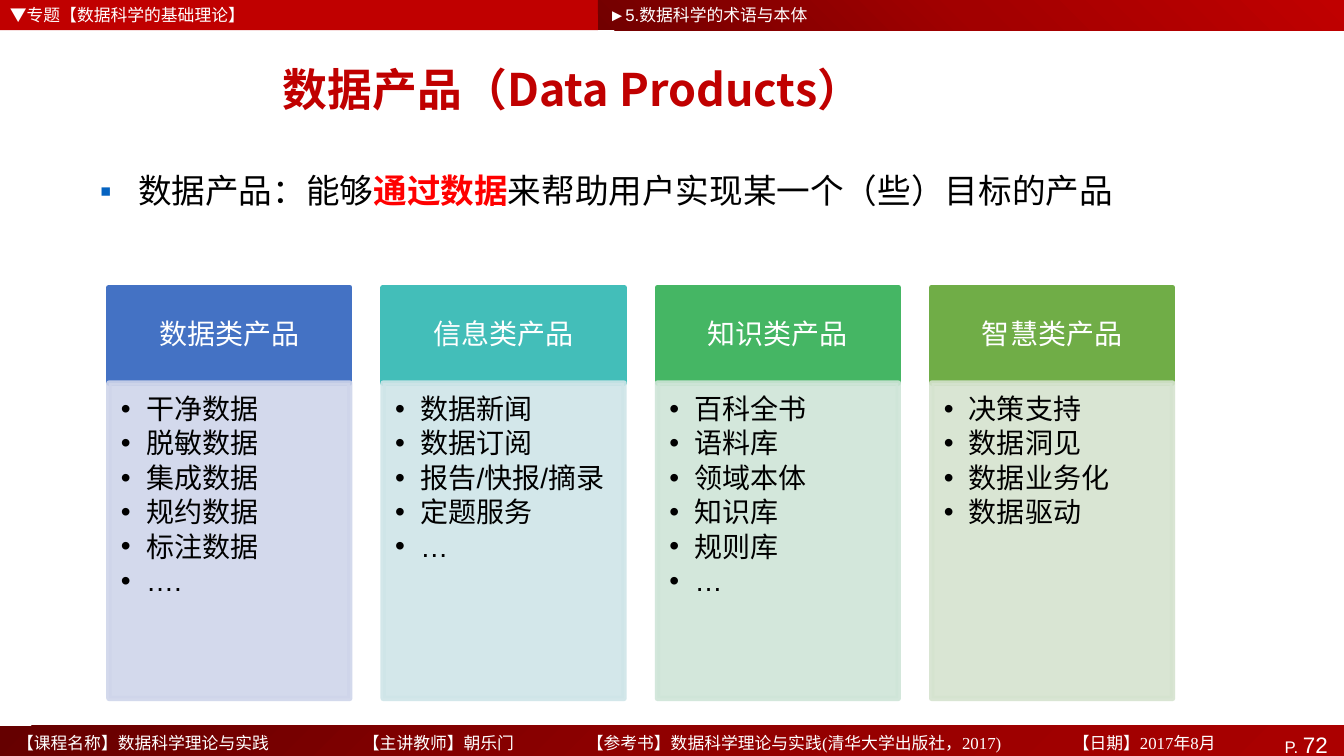
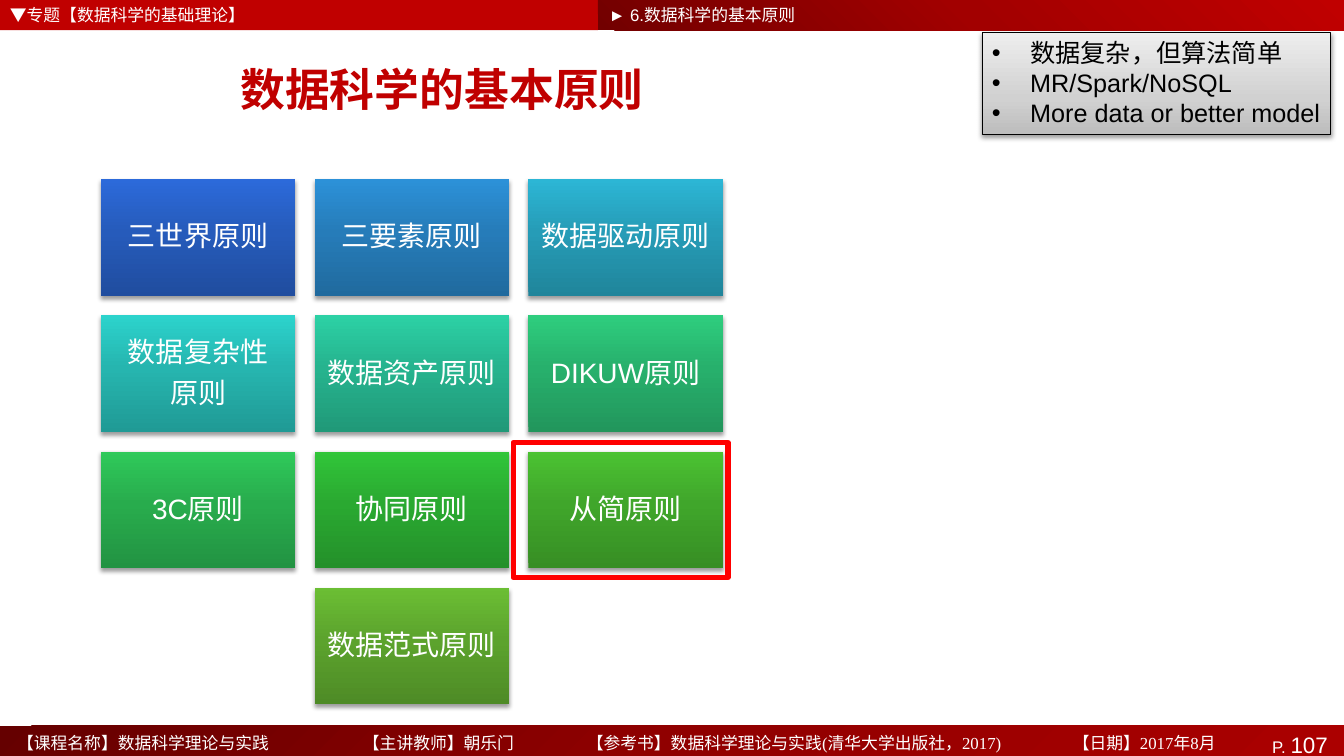
import copy

import lxml.etree
import pptx
import pptx.dml.color
import pptx.enum.shapes
import pptx.enum.text
import pptx.oxml.ns
import pptx.util

Inches = pptx.util.Inches
Pt = pptx.util.Pt
Align = pptx.enum.text.PP_ALIGN
Anchor = pptx.enum.text.MSO_ANCHOR
qn = pptx.oxml.ns.qn

WIDE, HIGH, BAR = 13.33, 7.5, 0.3
SPLIT = 5.93
COLORS = {
    "red": "C00000", "alert": "FF0000", "white": "FFFFFF",
    "black": "000000", "bullet": "0563C1",
}
TOP_FADE = ["720000", "A20000", "C00000"]
FOOT_FADE = ["650000", "900000", "AB0000"]
NOTE_FADE = ["BDBDBD", "D1D1D1", "EEEEEE"]
TOPIC = "▼专题【数据科学的基础理论】"
FOOTER = [
    (0.17, "【课程名称】数据科学理论与实践"),
    (3.6, "【主讲教师】朝乐门"),
    (5.82, "【参考书】数据科学理论与实践(清华大学出版社，2017)"),
    (10.64, "【日期】2017年8月"),
]
COLUMNS = [
    ("数据类产品", "4472C4", "CFD5EA",
     ["干净数据", "脱敏数据", "集成数据", "规约数据", "标注数据", "…."]),
    ("信息类产品", "43BEB9", "CFE5E8",
     ["数据新闻", "数据订阅", "报告/快报/摘录", "定题服务", "…"]),
    ("知识类产品", "45B664", "CFE5D8",
     ["百科全书", "语料库", "领域本体", "知识库", "规则库", "…"]),
    ("智慧类产品", "70AD47", "D5E3CF",
     ["决策支持", "数据洞见", "数据业务化", "数据驱动"]),
]
# Column, row, top colour and lines of each tile
TILES = [
    (0, 0, "2C6ADA", ["三世界原则"]),
    (1, 0, "2C91D8", ["三要素原则"]),
    (2, 0, "2CB6D5", ["数据驱动原则"]),
    (0, 1, "2CD3CC", ["数据复杂性", "原则"]),
    (1, 1, "2CD1A5", ["数据资产原则"]),
    (2, 1, "2ECD7E", ["DIKUW原则"]),
    (0, 2, "2FC95A", ["3C原则"]),
    (1, 2, "31C539", ["协同原则"]),
    (2, 2, "4BC232", ["从简原则"]),
    (1, 3, "6BBE34", ["数据范式原则"]),
]


def rgb(code):
    return pptx.dml.color.RGBColor.from_string(code)


def shade(code, part):
    """Darken a hex colour to the given part of its strength."""
    return "".join(f"{round(int(code[i:i + 2], 16) * part):02X}" for i in (0, 2, 4))


def place(shape, box):
    shape.left, shape.top, shape.width, shape.height = map(Inches, box)


def style(run, size, color, font="Arial", bold=False):
    run.font.size, run.font.name, run.font.bold = Pt(size), font, bold
    run.font.color.rgb = rgb(color)


def write(frame, lines, size, color, font="Arial", align=Align.LEFT,
          after=0, space=1.0):
    frame.text = "\n".join(lines)
    for para in frame.paragraphs:
        para.alignment, para.line_spacing = align, space
        para.space_before, para.space_after = Pt(0), Pt(after)
        for run in para.runs:
            style(run, size, color, font)


def inset(frame, left, top, right, low):
    frame.margin_left, frame.margin_top = Inches(left), Inches(top)
    frame.margin_right, frame.margin_bottom = Inches(right), Inches(low)


def bullet(para, mark, indent, color=None):
    props = para._p.get_or_add_pPr()
    props.set("marL", str(Inches(indent)))
    props.set("indent", str(-Inches(indent)))
    if color:
        tint = lxml.etree.SubElement(props, qn("a:buClr"))
        lxml.etree.SubElement(tint, qn("a:srgbClr"), val=color)
    lxml.etree.SubElement(props, qn("a:buFont"), typeface="Arial")
    lxml.etree.SubElement(props, qn("a:buChar"), char=mark)


def listing(frame, lines, size, indent, **look):
    """Write lines as a bulleted list."""
    frame.text = "\n".join(lines)
    write(frame, lines, size, COLORS["black"], **look)
    for para in frame.paragraphs:
        # Spacing elements come first, so bullets may follow them
        bullet(para, "•", indent)


def rect(slide, box, fill=None, line=None, width=3.78):
    shape = slide.shapes.add_shape(
        pptx.enum.shapes.MSO_SHAPE.RECTANGLE, *map(Inches, box))
    shape.shadow.inherit = False
    if fill:
        shape.fill.solid()
        shape.fill.fore_color.rgb = rgb(fill)
    else:
        shape.fill.background()
    if line:
        shape.line.color.rgb = rgb(line)
        shape.line.width = Pt(width)
    else:
        shape.line.fill.background()
    shape.text_frame.word_wrap = True
    return shape


def fade(shape, colors, mid, angle):
    """Fill with three colours; the angle runs clockwise."""
    shape.fill.gradient()
    shape.fill.gradient_angle = 360 - angle
    stops = shape._element.spPr.find(".//" + qn("a:gsLst"))
    stops.insert(1, copy.deepcopy(stops[0]))
    for stop, color, pos in zip(stops, colors, (0, mid, 100)):
        stop.set("pos", str(pos * 1000))
        stop.remove(stop[0])
        lxml.etree.SubElement(stop, qn("a:srgbClr"), val=color)


def opacity(parent, part):
    for color in parent.iter(qn("a:srgbClr")):
        lxml.etree.SubElement(color, qn("a:alpha"), val=str(part * 1000))


def shadow(shape, blur):
    effects = shape._element.spPr.find(qn("a:effectLst"))
    outer = lxml.etree.SubElement(
        effects, qn("a:outerShdw"), blurRad=str(Pt(blur)), dist=str(Pt(2)),
        dir="5400000", rotWithShape="0")
    lxml.etree.SubElement(outer, qn("a:srgbClr"), val=COLORS["black"])
    opacity(outer, 38)


def label(slide, box, text, font="Arial"):
    frame = slide.shapes.add_textbox(*map(Inches, box)).text_frame
    frame.word_wrap = True
    write(frame, [text], 12, COLORS["white"], font)
    return frame


def bands(slide, section, page):
    """Draw the header and footer bands with their labels."""
    rect(slide, (0, 0, SPLIT, BAR), COLORS["red"])
    fade(rect(slide, (SPLIT, 0, WIDE - SPLIT, BAR)), TOP_FADE, 50, 315)
    label(slide, (0, 0, 4.83, BAR), TOPIC)
    label(slide, (SPLIT + 0.01, 0, 4, BAR), section)

    foot = rect(slide, (0, HIGH - BAR, WIDE, BAR))
    fade(foot, FOOT_FADE, 50, 45)
    frame = foot.text_frame
    frame.vertical_anchor = Anchor.TOP
    inset(frame, 0.1, 0.05, 0.16, 0)
    write(frame, ["P. "], 12, COLORS["white"], align=Align.RIGHT)
    number = frame.paragraphs[0].add_run()
    number.text = str(page)
    style(number, 16, COLORS["white"])

    ends = [left for left, _ in FOOTER[1:]] + [12.6]
    for (left, text), end in zip(FOOTER, ends):
        frame = label(slide, (left, 7.22, end - left, 0.28), text,
                      "Times New Roman")
        inset(frame, 0, 0.05, 0, 0)


def heading(slide, text, width):
    title = slide.shapes.title
    place(title, (0.44, 0.43, width, 0.9))
    frame = title.text_frame
    frame.auto_size = pptx.enum.text.MSO_AUTO_SIZE.NONE
    frame.vertical_anchor = Anchor.MIDDLE
    font = "Noto Sans CJK SC"
    write(frame, [text], 32, COLORS["red"], font, Align.CENTER)
    run = frame.paragraphs[0].runs[0]
    run.font.bold = True
    lxml.etree.SubElement(run._r.get_or_add_rPr(), qn("a:ea"), typeface=font)


def lead(slide, box, parts):
    """Fill the body placeholder with one line of (text, strong) parts."""
    body = slide.placeholders[1]
    place(body, box)
    frame = body.text_frame
    frame.auto_size = pptx.enum.text.MSO_AUTO_SIZE.NONE
    para = frame.paragraphs[0]
    bullet(para, "▪", 0.38, COLORS["bullet"])
    para.space_before = Pt(0)
    for text, strong in parts:
        run = para.add_run()
        run.text = text
        style(run, 24, COLORS["alert" if strong else "black"], bold=strong)


def column(slide, box, name, dark, light, items):
    left, top, width, height = box
    head = 0.95
    cap = rect(slide, (left, top, width, head), dark, dark)
    inset(cap.text_frame, 0.16, 0.09, 0.16, 0.09)
    write(cap.text_frame, [name], 20, COLORS["white"], align=Align.CENTER,
          after=7, space=0.9)
    body = rect(slide, (left, top + head, width, height - head), light, light)
    opacity(body._element.spPr, 90)
    frame = body.text_frame
    frame.vertical_anchor = Anchor.TOP
    inset(frame, 0.12, 0.12, 0.16, 0.17)
    listing(frame, items, 20, 0.25, after=3, space=0.9)


def tile(slide, box, color, lines):
    shape = rect(slide, box)
    fade(shape, [shade(color, 0.73), shade(color, 0.858), color], 55, 270)
    shadow(shape, 3.1)
    inset(shape.text_frame, 0.08, 0.08, 0.08, 0.08)
    write(shape.text_frame, lines, 20, COLORS["white"], align=Align.CENTER,
          after=7, space=0.9)


def note(slide, box, lines):
    shape = rect(slide, box, line=COLORS["black"], width=0.5)
    fade(shape, NOTE_FADE, 35, 270)
    shadow(shape, 3.5)
    shape.text_frame.vertical_anchor = Anchor.TOP
    listing(shape.text_frame, lines, 18, 0.38)


def products(deck):
    slide = deck.slides.add_slide(deck.slide_layouts[1])
    bands(slide, "►5.数据科学的术语与本体", 72)
    heading(slide, "数据产品（Data Products）", 10.48)
    lead(slide, (0.89, 1.64, 10.35, 1), [
        ("数据产品：能够", False), ("通过数据", True),
        ("来帮助用户实现某一个（些）目标的产品", False)])
    for i, parts in enumerate(COLUMNS):
        column(slide, (1.08 + 2.72 * i, 2.85, 2.39, 4.08), *parts)


def rules(deck):
    slide = deck.slides.add_slide(deck.slide_layouts[5])
    bands(slide, "► 6.数据科学的基本原则", 107)
    heading(slide, "数据科学的基本原则", 7.89)
    for col, row, color, lines in TILES:
        box = (1 + 2.12 * col, 1.78 + 1.35 * row, 1.93, 1.16)
        tile(slide, box, color, lines)
    rect(slide, (5.09, 4.39, 2.13, 1.34), line=COLORS["alert"])
    note(slide, (9.74, 0.32, 3.46, 1.01), [
        "数据复杂，但算法简单", "MR/Spark/NoSQL", "More data or better model"])


def main():
    deck = pptx.Presentation()
    deck.slide_width, deck.slide_height = Inches(WIDE), Inches(HIGH)
    products(deck)
    rules(deck)
    deck.save("out.pptx")


if __name__ == "__main__":
    main()
